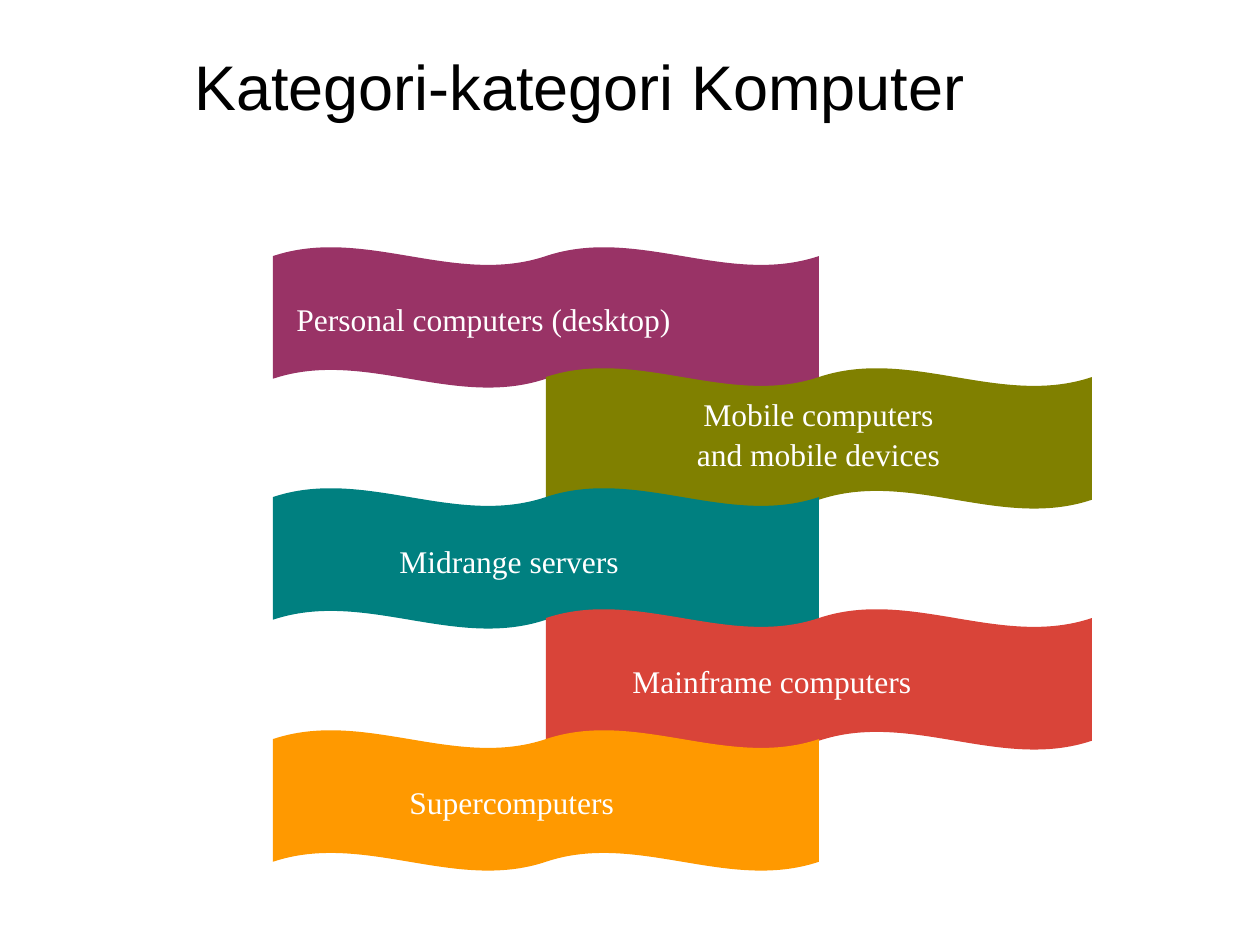
from pptx import Presentation
from pptx.dml.color import RGBColor
from pptx.enum.shapes import MSO_SHAPE
from pptx.enum.text import MSO_ANCHOR, PP_ALIGN
from pptx.util import Pt

PX = 914400 // 126
BLACK = RGBColor(0, 0, 0)
WHITE = RGBColor(255, 255, 255)
PLUM = RGBColor(0x99, 0x33, 0x66)
OLIVE = RGBColor(0x80, 0x80, 0x00)
TEAL = RGBColor(0x00, 0x80, 0x80)
RED = RGBColor(0xD9, 0x44, 0x39)
AMBER = RGBColor(0xFF, 0x99, 0x00)

TITLE = "Kategori-kategori Komputer"
# Label, wave colour, label box (left, drop below wave top, width, height), alignment
BANDS = [
    ("Personal computers (desktop)", PLUM, (284, 45, 524, 63), PP_ALIGN.LEFT),
    ("Mobile computers\vand mobile devices", OLIVE, (644, 19, 349, 113), PP_ALIGN.CENTER),
    ("Midrange servers", TEAL, (387, 45, 317, 63), PP_ALIGN.LEFT),
    ("Mainframe computers", RED, (620, 45, 397, 63), PP_ALIGN.LEFT),
    ("Supercomputers", AMBER, (397, 45, 297, 63), PP_ALIGN.LEFT),
]
LEFT, TOP, WIDE, HIGH = 273, 247, 546, 141
STEP = 120.75

TITLE_FONT = {"name": "Arial", "size": Pt(36), "bold": False}
LABEL_FONT = {"name": "Times New Roman", "size": Pt(18)}


def emu(*nums):
    return [round(n) * PX for n in nums]


def style(para, look, tint, align):
    para.alignment = align
    for key, val in look.items():
        setattr(para.font, key, val)
    para.font.color.rgb = tint


def add_wave(slide, x, y, tint):
    wave = slide.shapes.add_shape(MSO_SHAPE.DOUBLE_WAVE, *emu(x, y, WIDE, HIGH))
    wave.shadow.inherit = False
    wave.adjustments[0] = 0.065
    wave.adjustments[1] = 0
    wave.fill.solid()
    wave.fill.fore_color.rgb = tint
    wave.line.fill.background()


def add_label(slide, text, box, align):
    frame = slide.shapes.add_textbox(*emu(*box)).text_frame
    frame.word_wrap = True
    para = frame.paragraphs[0]
    para.text = text
    para.line_spacing = 1.05
    style(para, LABEL_FONT, WHITE, align)


def main():
    deck = Presentation()
    deck.slide_width, deck.slide_height = emu(1260, 945)
    slide = deck.slides.add_slide(deck.slide_layouts[5])

    # Title
    title = slide.shapes.title
    title.left, title.top, title.width, title.height = emu(44, 29, 1071, 113)
    title.text_frame.text = TITLE
    title.text_frame.vertical_anchor = MSO_ANCHOR.MIDDLE
    style(title.text_frame.paragraphs[0], TITLE_FONT, BLACK, PP_ALIGN.CENTER)

    # Waves step down, every second one shifted by half a width
    for i, (text, tint, (x, drop, w, h), align) in enumerate(BANDS):
        top = TOP + i * STEP
        add_wave(slide, LEFT + i % 2 * WIDE // 2, top, tint)
        add_label(slide, text, (x, top + drop, w, h), align)

    deck.save("out.pptx")


if __name__ == "__main__":
    main()
